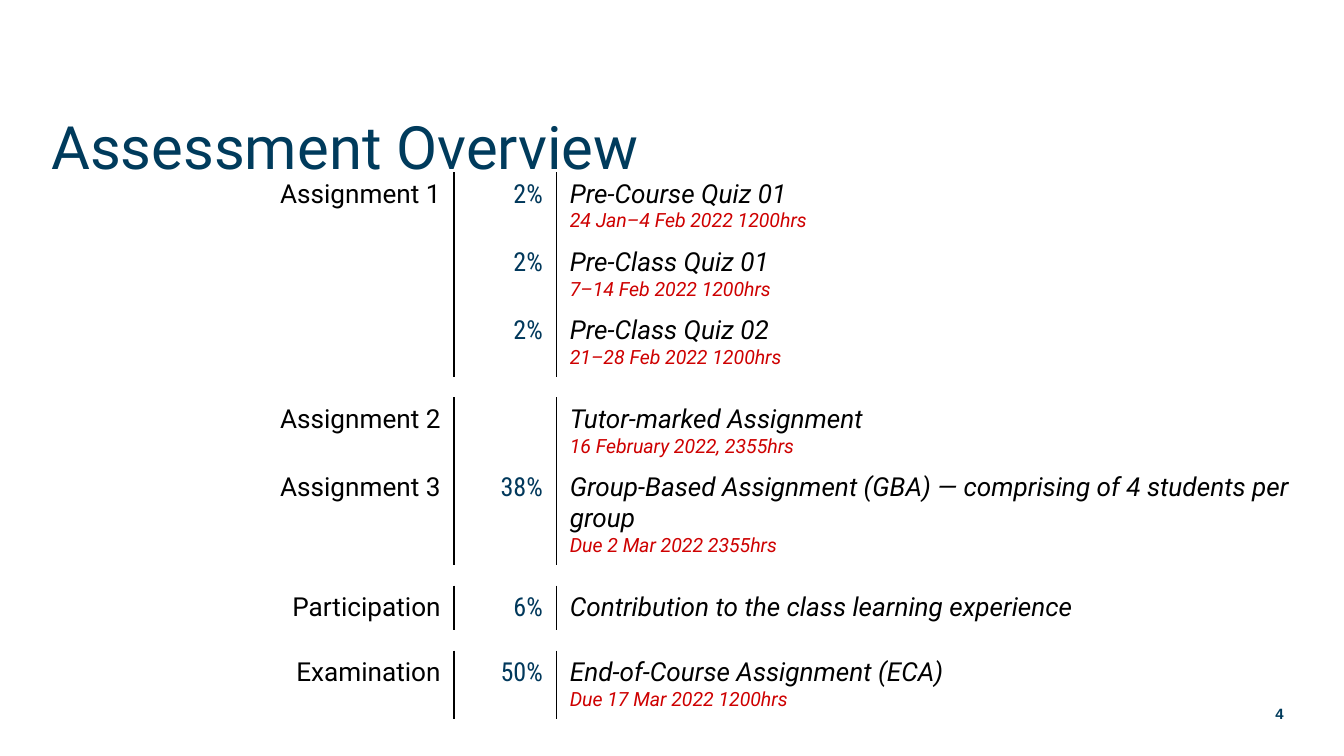
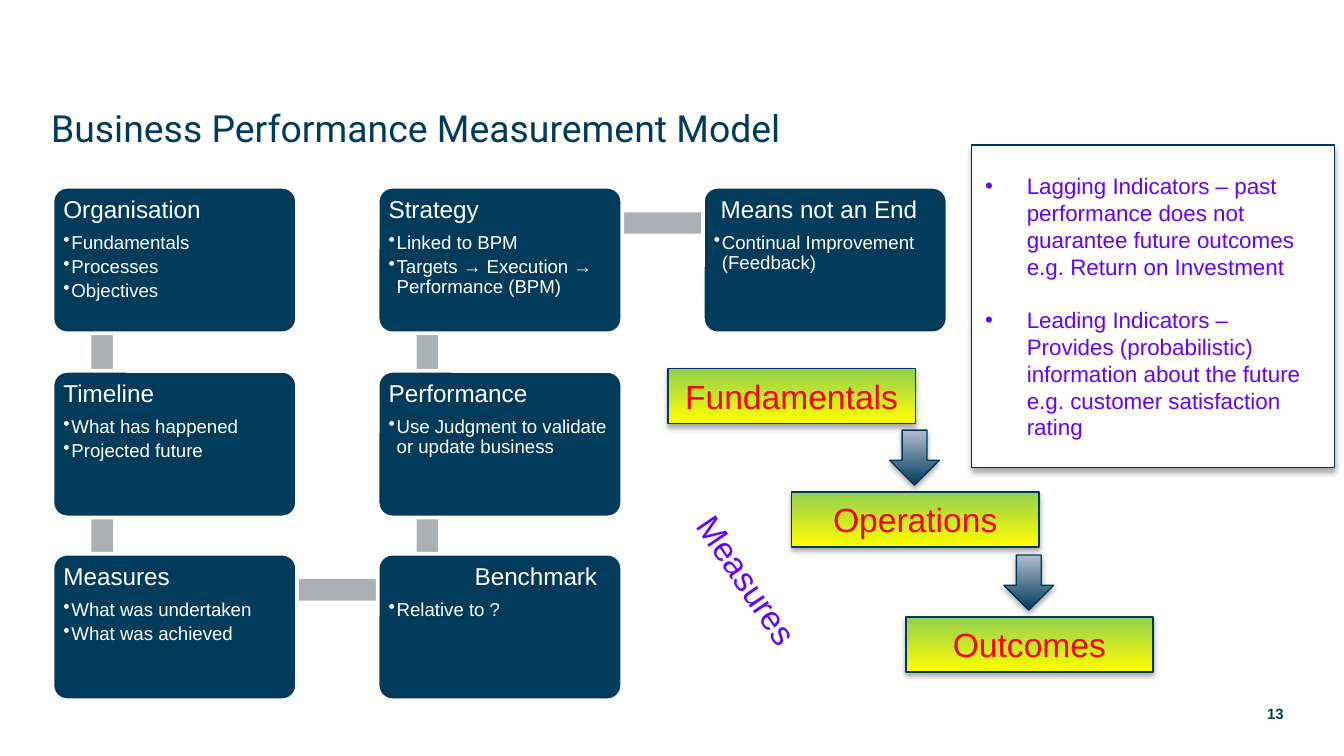
import itertools
from dataclasses import dataclass

import pptx
import pptx.dml.color
import pptx.enum.shapes
import pptx.enum.text
import pptx.oxml.ns
import pptx.util
from lxml import etree

EMU_PER_PX = 9144  # 100 px to the inch
NAVY, OUTLINE, PERCENT = "003B5C", "003A5A", "01385B"
BLACK, WHITE, GREY = "000000", "FFFFFF", "ABAFB6"
DATE_RED, STEP_RED, VIOLET = "CE0000", "FF0000", "6600FF"
YELLOW_GREEN = ("FFFF00", "92D050")
NAVY_MIST = (NAVY, "B3BDCE")
NO_STYLE_TABLE = "{2D5ABB26-0587-4C30-8999-92F81FD0307C}"

MSO = pptx.enum.shapes.MSO_SHAPE
ALIGN = pptx.enum.text.PP_ALIGN
ANCHOR = pptx.enum.text.MSO_ANCHOR
qn = pptx.oxml.ns.qn


@dataclass(frozen=True)
class Box:
    x: int
    y: int
    w: int
    h: int

    def emu(self) -> list[int]:
        return [px(v) for v in (self.x, self.y, self.w, self.h)]


@dataclass(frozen=True)
class Task:
    """One table row; an empty label continues the row above."""
    label: str
    percent: str
    name: str
    date: str = ""
    height: int = 50


@dataclass(frozen=True)
class Card:
    col: int
    row: int
    title: str
    points: tuple[str, ...]
    title_indent: int = 0

    def box(self) -> Box:
        return Box(39 + 242 * self.col, 139 + (273 * self.row + 1) // 2, 182, 109)


@dataclass(frozen=True)
class Step:
    text: str
    x: int
    y: int


TITLE_BOX = Box(28, 50, 937, 90)
NUMBER_BOX = Box(750, 516, 215, 30)

# None is a thin spacer row
TASKS = [
    Task("Assignment 1", "2%", "Pre-Course Quiz 01", "24 Jan–4 Feb 2022 1200hrs"),
    Task("", "2%", "Pre-Class Quiz 01", "7–14 Feb 2022 1200hrs"),
    Task("", "2%", "Pre-Class Quiz 02", "21–28 Feb 2022 1200hrs"),
    None,
    Task("Assignment 2", "", "Tutor-marked Assignment", "16 February 2022, 2355hrs"),
    Task("Assignment 3", "38%",
         "Group-Based Assignment (GBA) — comprising of 4 students per group",
         "Due 2 Mar 2022 2355hrs", 72),
    None,
    Task("Participation", "6%", "Contribution to the class learning experience", height=33),
    None,
    Task("Examination", "50%", "End-of-Course Assignment (ECA)", "Due 17 Mar 2022 1200hrs"),
]
SPACER_HEIGHT = 15

CARDS = [
    Card(0, 0, "Organisation", ("Fundamentals", "Processes", "Objectives")),
    Card(0, 1, "Timeline", ("What has happened", "Projected future")),
    Card(0, 2, "Measures", ("What was undertaken", "What was achieved")),
    Card(1, 2, "Benchmark", ("Relative to ?",), 64),
    Card(1, 1, "Performance", ("Use Judgment to validate or update business",)),
    Card(1, 0, "Strategy", ("Linked to BPM", "Targets → Execution → Performance (BPM)")),
    Card(2, 0, "Means not an End", ("Continual Improvement (Feedback)",), 5),
]

STEPS = [Step("Fundamentals", 497, 274), Step("Operations", 589, 366), Step("Outcomes", 674, 459)]
ARROWS = [Box(662, 320, 37, 41), Box(747, 413, 37, 41)]

INDICATORS = [
    "Lagging Indicators – past performance does not guarantee future outcomes "
    "e.g. Return on Investment",
    "Leading Indicators – Provides (probabilistic) information about the future "
    "e.g. customer satisfaction rating",
]


def px(n: int) -> int:
    return n * EMU_PER_PX


def rgb(hex_color: str) -> pptx.dml.color.RGBColor:
    return pptx.dml.color.RGBColor.from_string(hex_color)


def write(tf, text: str, *, size: float, color: str, font: str = "Arial",
          bold: bool = False, italic: bool = False, align=ALIGN.LEFT,
          indent: int = 0, bullet: bool = False, spacing: float = 1.0,
          before: float = 0, after: float = 0) -> None:
    """Fill the empty first paragraph, or add one after the existing text."""
    p = tf.add_paragraph() if tf.text else tf.paragraphs[0]
    pPr = p._p.get_or_add_pPr()
    pPr.set("marL", str(px(indent)))
    pPr.set("indent", str(-px(indent) if bullet else 0))
    if bullet:
        etree.SubElement(pPr, qn("a:buChar"), char="•")
    p.alignment = align
    p.line_spacing = spacing
    p.space_before = pptx.util.Pt(before)
    p.space_after = pptx.util.Pt(after)
    r = p.add_run()
    r.text = text
    r.font.name = font
    r.font.size = pptx.util.Pt(size)
    r.font.bold = bold
    r.font.italic = italic
    r.font.color.rgb = rgb(color)


def place(sp, box: Box) -> None:
    sp.left, sp.top, sp.width, sp.height = box.emu()


def paint(sp, fill: str | tuple[str, str], line: str = "", width: float = 0.75,
          shadow: bool = False) -> None:
    """A pair of fill colours is a gradient running from bottom to top."""
    if isinstance(fill, tuple):
        sp.fill.gradient()
        sp.fill.gradient_angle = 90
        for stop, color in zip(sp.fill.gradient_stops, fill):
            stop.color.rgb = rgb(color)
    else:
        sp.fill.solid()
        sp.fill.fore_color.rgb = rgb(fill)
    if line:
        sp.line.color.rgb = rgb(line)
        sp.line.width = pptx.util.Pt(width)
    else:
        sp.line.fill.background()
    sp.shadow.inherit = False
    if shadow:
        effects = sp._element.spPr.find(qn("a:effectLst"))
        outer = etree.SubElement(effects, qn("a:outerShdw"), blurRad="39370", dist="22860",
                                 dir="5400000", rotWithShape="0")
        color = etree.SubElement(outer, qn("a:srgbClr"), val=BLACK)
        etree.SubElement(color, qn("a:alpha"), val="35000")


def add_shape(slide, kind, box: Box, fill, line: str = "", width: float = 0.75,
              shadow: bool = False):
    sp = slide.shapes.add_shape(kind, *box.emu())
    paint(sp, fill, line, width, shadow)
    return sp


def add_slide(prs, layout: int, title: str, size: float, anchor, number: str):
    """Add a slide with the shared title style and page number."""
    slide = prs.slides.add_slide(prs.slide_layouts[layout])
    place(slide.shapes.title, TITLE_BOX)
    tf = slide.shapes.title.text_frame
    tf.auto_size = pptx.enum.text.MSO_AUTO_SIZE.NONE
    tf.vertical_anchor = anchor
    write(tf, title, size=size, color=NAVY, font="Roboto")

    tf = slide.shapes.add_textbox(*NUMBER_BOX.emu()).text_frame
    tf.word_wrap = True
    tf.vertical_anchor = ANCHOR.MIDDLE
    write(tf, number, size=8, color=NAVY, bold=True, align=ALIGN.RIGHT)
    return slide


def add_border(cell, side: str) -> None:
    ln = etree.Element(qn(f"a:{side}"), w=str(pptx.util.Pt(1)))
    fill = etree.SubElement(ln, qn("a:solidFill"))
    etree.SubElement(fill, qn("a:srgbClr"), val=BLACK)
    cell._tc.get_or_add_tcPr().insert(0, ln)


def fill_task_row(cells: list, task: Task) -> None:
    label, percent, detail = cells
    add_border(label, "lnR")
    add_border(percent, "lnL")
    if task.label:
        write(label.text_frame, task.label, size=14, color=BLACK, font="Roboto",
              align=ALIGN.RIGHT)
    if task.percent:
        write(percent.text_frame, task.percent, size=14, color=PERCENT,
              font="Roboto Condensed", align=ALIGN.RIGHT)
    write(detail.text_frame, task.name, size=14, color=BLACK, font="Roboto", italic=True)
    if task.date:
        write(detail.text_frame, task.date, size=10.5, color=DATE_RED, font="Roboto",
              italic=True)


def add_task_table(slide) -> None:
    heights = [task.height if task else SPACER_HEIGHT for task in TASKS]
    box = Box(104, 128, 868, sum(heights))
    table = slide.shapes.add_table(len(TASKS), 3, *box.emu()).table
    table.first_row = table.horz_banding = False
    table._tbl.tblPr.find(qn("a:tableStyleId")).text = NO_STYLE_TABLE
    for column, width in zip(table.columns, (234, 76, 558)):
        column.width = px(width)
    for i, (task, height) in enumerate(zip(TASKS, heights)):
        table.rows[i].height = px(height)
        cells = [table.cell(i, j) for j in range(3)]
        for cell in cells:
            cell.fill.background()
            if not task:
                p = cell.text_frame.paragraphs[0]
                etree.SubElement(p._p, qn("a:endParaRPr"), sz="300")
        if task:
            fill_task_row(cells, task)
    table.cell(0, 0).merge(table.cell(2, 0))


def add_link(slide, a: Card, b: Card) -> None:
    """Draw the bar that joins two neighbouring cards and lies under them."""
    first = min(a, b, key=lambda card: (card.col, card.row)).box()
    if a.row == b.row:
        bar = Box(first.x + 38, first.y + 19, 241, 16)
    else:
        bar = Box(first.x + 29, first.y + 27, 16, 135)
    add_shape(slide, MSO.RECTANGLE, bar, GREY)


def add_card(slide, card: Card) -> None:
    sp = add_shape(slide, MSO.ROUNDED_RECTANGLE, card.box(), NAVY, WHITE, 2)
    sp.adjustments[0] = 0.1
    tf = sp.text_frame
    tf.vertical_anchor = ANCHOR.TOP
    tf.margin_left = tf.margin_top = tf.margin_right = tf.margin_bottom = px(5)
    write(tf, card.title, size=13, color=WHITE, indent=card.title_indent, spacing=0.9, after=5)
    for point in card.points:
        write(tf, point, size=10, color=WHITE, indent=6, bullet=True, spacing=0.9, after=2)


def add_indicators(body) -> None:
    place(body, Box(723, 108, 270, 240))
    paint(body, WHITE, OUTLINE, shadow=True)
    tf = body.text_frame
    tf.auto_size = pptx.enum.text.MSO_AUTO_SIZE.NONE
    tf.vertical_anchor = ANCHOR.MIDDLE
    for i, text in enumerate(INDICATORS):
        write(tf, text, size=12, color=VIOLET, indent=31, bullet=True, before=14 if i else 0)


def add_measure_steps(slide) -> None:
    for step in STEPS:
        sp = add_shape(slide, MSO.RECTANGLE, Box(step.x, step.y, 184, 41), YELLOW_GREEN,
                       OUTLINE, shadow=True)
        write(sp.text_frame, step.text, size=18, color=STEP_RED, align=ALIGN.CENTER)
    for arrow in ARROWS:
        add_shape(slide, MSO.DOWN_ARROW, arrow, NAVY_MIST, OUTLINE, shadow=True)
    sp = slide.shapes.add_textbox(*Box(491, 412, 131, 40).emu())
    sp.rotation = 55.8
    sp.text_frame.word_wrap = False
    write(sp.text_frame, "Measures", size=18, color=VIOLET)


def main() -> None:
    prs = pptx.Presentation()
    prs.slide_width = px(1000)
    prs.slide_height = px(1000) * 9 // 16

    slide = add_slide(prs, 5, "Assessment Overview", 32, ANCHOR.BOTTOM, "4")
    add_task_table(slide)

    slide = add_slide(prs, 1, "Business Performance Measurement Model", 20, ANCHOR.MIDDLE, "13")
    for a, b in itertools.pairwise(CARDS):
        add_link(slide, a, b)
    for card in CARDS:
        add_card(slide, card)
    add_measure_steps(slide)
    add_indicators(slide.placeholders[1])

    prs.save("out.pptx")


if __name__ == "__main__":
    main()
